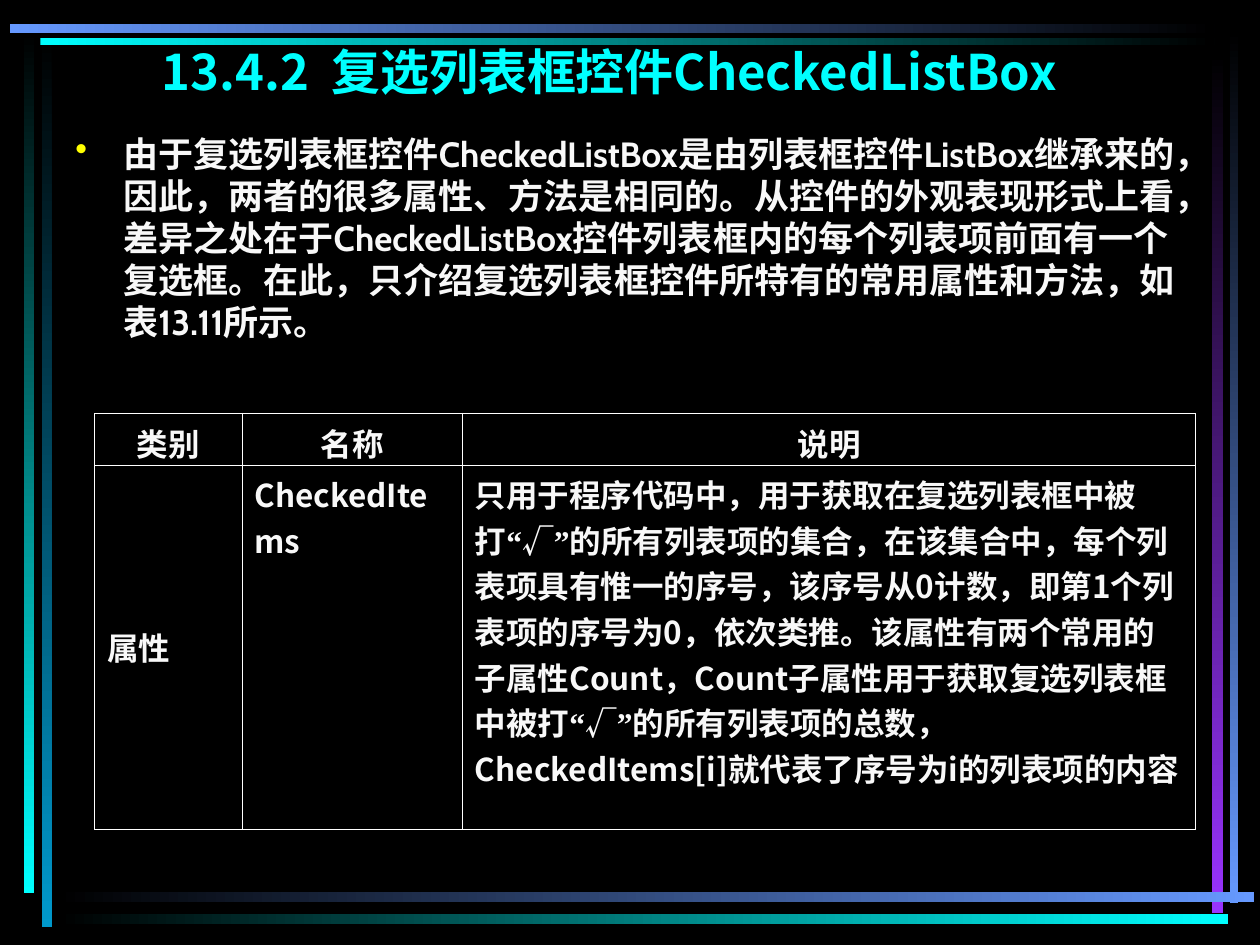
"""Build the CheckedListBox slide: glowing frame bars, title, bullet and table."""
from lxml.etree import SubElement
from pptx import Presentation
from pptx.dml.color import RGBColor
from pptx.enum.shapes import MSO_SHAPE as Shape
from pptx.enum.text import MSO_ANCHOR as Anchor, PP_ALIGN as Align
from pptx.oxml.ns import qn
from pptx.util import Inches, Pt

WIDTH, HEIGHT = 10, 7.5
SANS, BODY, SERIF = "Noto Sans CJK SC", "Cabin", "Times New Roman"
BLACK, WHITE, TEXT = "000000", "FFFFFF", "F8F8F8"
CYAN, BLUE, TEAL, PURPLE, YELLOW = "00FFFF", "6699FF", "0099CC", "9933FF", "FFFF00"

BARS = [
    (0.33, 0.28, 0.08, 7.08, BLACK, TEAL),
    (0.19, 0.25, 0.08, 6.84, BLACK, CYAN),
    (9.76, 0.24, 0.07, 6.93, BLACK, BLUE),
    (9.62, 0.42, 0.09, 6.83, BLACK, PURPLE),
    (0.45, 7.08, 9.5, 0.08, BLACK, BLUE),
    (0.45, 7.25, 9.3, 0.08, BLACK, CYAN),
    (0.32, 0.3, 9.32, 0.06, CYAN, BLACK),
    (0.08, 0.19, 9.56, 0.07, BLUE, BLACK),
]
TITLE = "13.4.2  复选列表框控件CheckedListBox"
INTRO = (
    "由于复选列表框控件CheckedListBox是由列表框控件ListBox继承来的，因此，两者的很多属性、"
    "方法是相同的。从控件的外观表现形式上看，差异之处在于CheckedListBox控件列表框内的每个"
    "列表项前面有一个复选框。在此，只介绍复选列表框控件所特有的常用属性和方法，如表13.11所示。"
)
TICK = [("“", SERIF), ("√", SANS), ("”", SERIF)]
DETAIL = [
    ("只用于程序代码中，用于获取在复选列表框中被打", SANS),
    *TICK,
    ("的所有列表项的集合，在该集合中，每个列表项具有惟一的序号，该序号从0计数，"
     "即第1个列表项的序号为0，依次类推。该属性有两个常用的子属性Count，"
     "Count子属性用于获取复选列表框中被打", SANS),
    *TICK,
    ("的所有列表项的总数，CheckedItems[i]就代表了序号为i的列表项的内容", SANS),
]
ROWS = [
    [[("类别", SANS)], [("名称", SANS)], [("说明", SANS)]],
    [[("属性", SANS)], [("CheckedItems", SANS)], DETAIL],
]
COLUMN_WIDTHS = [1.17, 1.75, 5.82]
ROW_HEIGHTS = [0.41, 2.89]


def color(value):
    return RGBColor.from_string(value)


def place(left, top, width, height):
    return [Inches(length) for length in (left, top, width, height)]


def add_span(para, text, face, size, shade):
    span = para.add_run()
    span.text = text
    font = span.font
    font.name, font.size, font.bold = face, Pt(size), True
    font.color.rgb = color(shade)
    SubElement(font._element, qn("a:ea"), typeface=face)


def add_bar(page, left, top, width, height, start, end):
    bar = page.shapes.add_shape(Shape.RECTANGLE, *place(left, top, width, height))
    bar.shadow.inherit = False
    bar.line.fill.background()
    bar.fill.gradient()
    bar.fill.gradient_angle = 0 if width > height else 270
    for stop, shade in zip(bar.fill.gradient_stops, (start, end)):
        stop.color.rgb = color(shade)


def add_title(page):
    title = page.shapes.title
    title.left, title.top, title.width, title.height = place(0.46, 0.33, 8.75, 0.92)
    frame = title.text_frame
    frame.word_wrap, frame.vertical_anchor, frame.margin_top = True, Anchor.TOP, 0
    para = frame.paragraphs[0]
    para.alignment = Align.CENTER
    add_span(para, TITLE, SANS, 28, CYAN)


def add_intro(page):
    box = page.shapes.add_textbox(*place(0.5, 1, 9.08, 1.83))
    box.text_frame.word_wrap = True
    para = box.text_frame.paragraphs[0]
    props = para._p.get_or_add_pPr()
    indent = Inches(0.38)
    props.set("marL", str(indent))
    props.set("indent", str(-indent))
    SubElement(SubElement(props, qn("a:buClr")), qn("a:srgbClr"), val=YELLOW)
    SubElement(props, qn("a:buChar"), char="•")
    add_span(para, INTRO, BODY, 20, TEXT)


def add_borders(cell):
    props = cell._tc.get_or_add_tcPr()
    for side in ("lnL", "lnR", "lnT", "lnB"):
        line = SubElement(props, qn(f"a:{side}"), w=str(Pt(0.45)))
        SubElement(SubElement(line, qn("a:solidFill")), qn("a:srgbClr"), val=WHITE)


def add_table(page):
    area = place(0.75, 3.28, sum(COLUMN_WIDTHS), sum(ROW_HEIGHTS))
    table = page.shapes.add_table(len(ROWS), len(COLUMN_WIDTHS), *area).table
    for column, width in zip(table.columns, COLUMN_WIDTHS):
        column.width = Inches(width)
    for row, height in zip(table.rows, ROW_HEIGHTS):
        row.height = Inches(height)
    for r, row in enumerate(ROWS):
        for c, spans in enumerate(row):
            cell = table.cell(r, c)
            add_borders(cell)
            cell.fill.background()
            cell.vertical_anchor = Anchor.MIDDLE if r and not c else Anchor.TOP
            para = cell.text_frame.paragraphs[0]
            para.alignment = Align.LEFT if r else Align.CENTER
            for text, face in spans:
                add_span(para, text, face, 18, TEXT)


def main():
    deck = Presentation()
    deck.slide_width, deck.slide_height = Inches(WIDTH), Inches(HEIGHT)
    page = deck.slides.add_slide(deck.slide_layouts[5])
    page.background.fill.solid()
    page.background.fill.fore_color.rgb = color(BLACK)
    for bar in BARS:
        add_bar(page, *bar)
    add_title(page)
    add_intro(page)
    add_table(page)
    deck.save("out.pptx")


if __name__ == "__main__":
    main()
